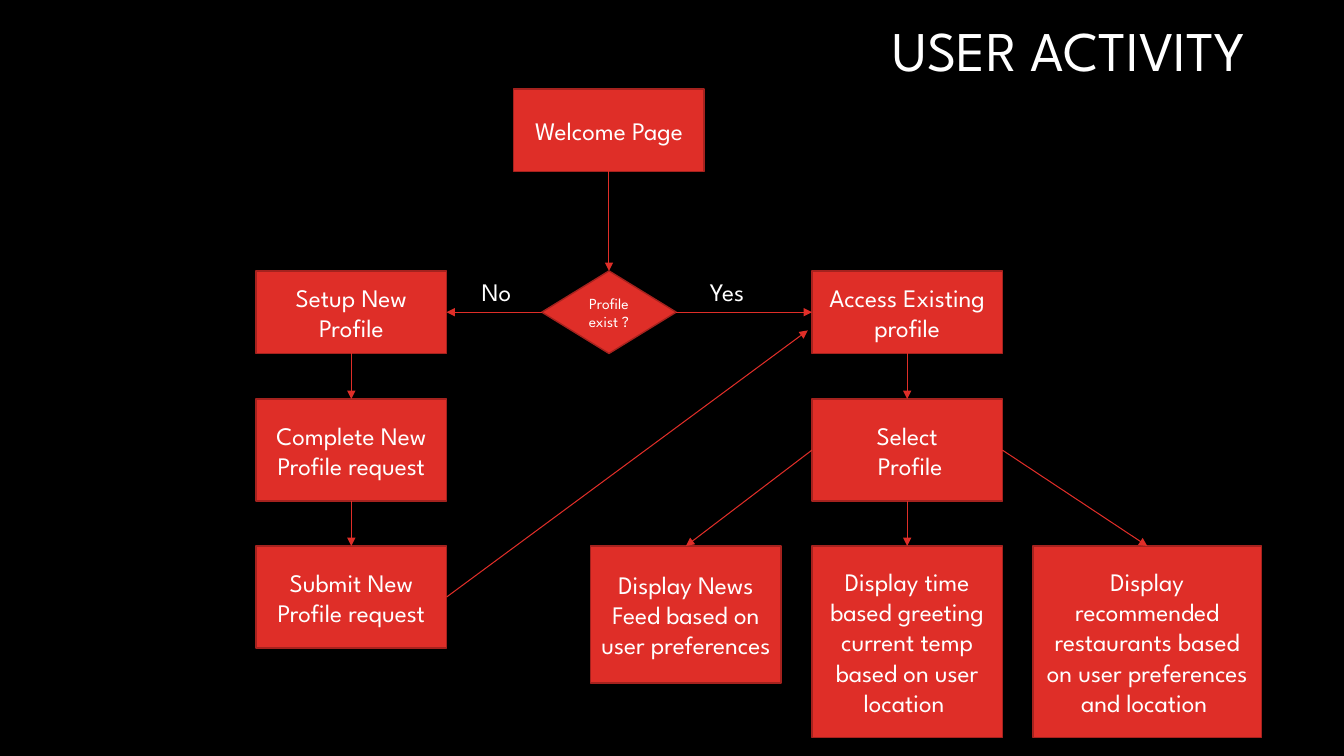
from lxml.etree import SubElement as Sub
from pptx import Presentation
from pptx.dml.color import RGBColor
from pptx.enum.shapes import MSO_CONNECTOR as Conn, MSO_SHAPE as Shape
from pptx.enum.text import MSO_ANCHOR as Anchor, PP_ALIGN as Align
from pptx.oxml.ns import qn
from pptx.util import Pt

BLACK = RGBColor(0x00, 0x00, 0x00)
WHITE = RGBColor(0xFF, 0xFF, 0xFF)
RED = RGBColor(0xDF, 0x2E, 0x28)
DARK = RGBColor(0xA5, 0x22, 0x1E)

FACE = "League Spartan"
TOP, LEFT, BOTTOM, RIGHT = range(4)
WIDE, LOW, TALL = 136, 59, 73
STEP, DROP = 91.5, 196.5


def style(item, form):
    for key, value in form.items():
        setattr(item, key, value)


def write(frame, text, size=18, align=Align.CENTER, anchor=Anchor.MIDDLE):
    frame.text = text
    style(frame, {"word_wrap": True, "vertical_anchor": anchor})
    for par in frame.paragraphs:
        par.alignment = align
        for run in par.runs:
            style(run.font, {"name": FACE, "size": Pt(size)})
            run.font.color.rgb = WHITE


def node(slide, text, x, y, w, h, kind=Shape.RECTANGLE, size=18):
    shape = slide.shapes.add_shape(kind, Pt(x), Pt(y), Pt(w), Pt(h))
    shape.shadow.inherit = False
    shape.fill.solid()
    shape.fill.fore_color.rgb = RED
    shape.line.color.rgb = DARK
    shape.line.width = Pt(1)
    write(shape.text_frame, text, size)
    return shape


def arrow(slide, start, side, end=None, port=TOP, spot=(0, 0)):
    x, y = spot
    line = slide.shapes.add_connector(Conn.STRAIGHT, 0, 0, Pt(x), Pt(y))
    line.begin_connect(start, side)
    if end is not None:
        line.end_connect(end, port)
    line.line.color.rgb = RED
    line.line.width = Pt(0.75)
    props = line._element.spPr
    Sub(props.find(qn("a:ln")), qn("a:tailEnd"), type="triangle")
    Sub(props, qn("a:effectLst"))


def label(slide, text, x, y):
    box = slide.shapes.add_textbox(Pt(x), Pt(y), Pt(55), Pt(29))
    write(box.text_frame, text, align=Align.LEFT, anchor=Anchor.TOP)


def head(slide, x, y, w, h):
    title = slide.shapes.title
    style(title, {"left": Pt(x), "top": Pt(y), "width": Pt(w), "height": Pt(h)})
    write(title.text_frame, "USER ACTIVITY", 40, Align.RIGHT)
    title.text_frame.paragraphs[0].line_spacing = 0.9


def entry(slide, x, y, w, h):
    page = node(slide, "Welcome Page", x, y, w, LOW)
    test = node(slide, "Profile exist ?", x + 20, y + h - LOW, w - 40, LOW,
                Shape.DIAMOND, 11)
    arrow(slide, page, BOTTOM, test)
    label(slide, "No", x - 30, y + h - LOW)
    label(slide, "Yes", x + w - 3, y + h - LOW)
    return test


def setup(slide, x, y, w):
    first = node(slide, "Setup New Profile", x, y, w, LOW)
    mid = node(slide, "Complete New Profile request", x, y + STEP, w, TALL)
    last = node(slide, "Submit New Profile request", x, y + DROP, w, TALL)
    arrow(slide, first, BOTTOM, mid)
    arrow(slide, mid, BOTTOM, last)
    return first, last


def access(slide, x, y, w):
    first = node(slide, "Access Existing profile", x, y, w, LOW)
    pick = node(slide, "Select\n Profile", x, y + STEP, w, TALL)
    arrow(slide, first, BOTTOM, pick)
    views = (
        ("Display News Feed based on user preferences ", -158, w, 98, LEFT),
        ("Display time based greeting current temp based on user location ",
         0, w, 137, BOTTOM),
        ("Display recommended restaurants based on user preferences "
         "and location ", 158, 163, 137, RIGHT),
    )
    for text, shift, wide, high, side in views:
        view = node(slide, text, x + shift, y + DROP, wide, high)
        arrow(slide, pick, side, view)
    return first


def main():
    deck = Presentation()
    style(deck, {"slide_width": Pt(960), "slide_height": Pt(540)})
    slide = deck.slides.add_slide(deck.slide_layouts[5])
    slide.background.fill.solid()
    slide.background.fill.fore_color.rgb = BLACK

    head(slide, 219, 2, 678, 72)
    test = entry(slide, 367, 63.5, WIDE, 189)
    new, done = setup(slide, 183, 193.5, WIDE)
    old = access(slide, 580, 193.5, WIDE)
    arrow(slide, test, LEFT, new, RIGHT)
    arrow(slide, test, RIGHT, old, LEFT)
    arrow(slide, done, RIGHT, spot=(577, 236))
    deck.save("out.pptx")


if __name__ == "__main__":
    main()
